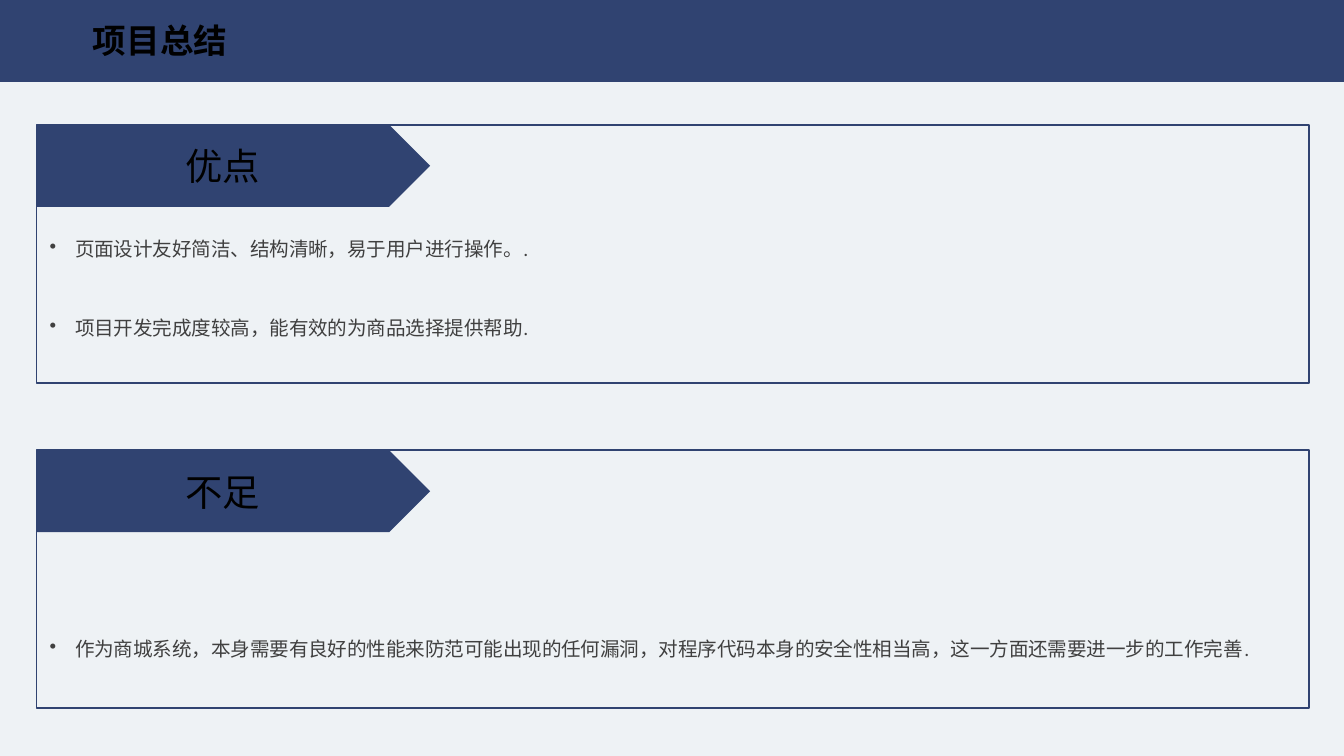
import pptx
import pptx.dml.color
import pptx.enum.shapes
import pptx.enum.text
import pptx.oxml.ns
import pptx.util
from lxml import etree

Cm = pptx.util.Cm
Pt = pptx.util.Pt
RGBColor = pptx.dml.color.RGBColor
Kind = pptx.enum.shapes.MSO_SHAPE
Text = pptx.enum.text
qn = pptx.oxml.ns.qn

NAVY = RGBColor(0x30, 0x43, 0x71)
PALE = RGBColor(0xEE, 0xF2, 0xF5)
BLACK = RGBColor(0, 0, 0)
GREY = RGBColor(0x40, 0x40, 0x40)
HAN = "Noto Sans CJK SC"

deck = pptx.Presentation()
deck.slide_width, deck.slide_height = Cm(25.4), Cm(14.29)
slide = deck.slides.add_slide(deck.slide_layouts[6])
slide.background.fill.solid()
slide.background.fill.fore_color.rgb = PALE


def add_box(kind, left, top, width, height, filled=True):
    box = slide.shapes.add_shape(kind, Cm(left), Cm(top), Cm(width), Cm(height))
    box.shadow.inherit = False
    if filled:
        box.fill.solid()
        box.fill.fore_color.rgb = NAVY
        box.line.fill.background()
    else:
        box.fill.background()
        box.line.color.rgb = NAVY
        box.line.width = Pt(1)
    return box


def set_text(frame, words, size, color=BLACK, name=HAN, bold=False):
    para = frame.paragraphs[0]
    para.text = words
    font = para.font
    font.size, font.bold, font.name = Pt(size), bold, name
    font.color.rgb = color
    # East Asian typeface
    props = para._p.pPr.find(qn("a:defRPr"))
    etree.SubElement(props, qn("a:ea"), typeface=HAN)
    return para


# Header band and title
add_box(Kind.RECTANGLE, 0, 0, 25.4, 1.55)
title = slide.shapes.add_textbox(Cm(1.5), Cm(0.25), Cm(3.05), Cm(1.02))
title.text_frame.word_wrap = False
title.text_frame.auto_size = Text.MSO_AUTO_SIZE.SHAPE_TO_FIT_TEXT
para = set_text(title.text_frame, "项目总结", 18, bold=True)
para.alignment = Text.PP_ALIGN.CENTER

# Framed panels with arrow tags
LEFT, TOP, STEP = 0.69, 2.36, 6.15
labels = ["优点", "不足"]
for row in range(len(labels)):
    add_box(Kind.RECTANGLE, LEFT, TOP + row * STEP, 24.05, 4.88, filled=False)
for row, label in enumerate(labels):
    tag = add_box(Kind.PENTAGON, LEFT, TOP + row * STEP, 7.44, 1.55)
    tag.text_frame.vertical_anchor = Text.MSO_ANCHOR.MIDDLE
    para = set_text(tag.text_frame, label, 20)
    para.alignment = Text.PP_ALIGN.CENTER

# Bullet points
points = [
    (4.22, "页面设计友好简洁、结构清晰，易于用户进行操作。."),
    (5.72, "项目开发完成度较高，能有效的为商品选择提供帮助."),
    (11.79, "作为商城系统，本身需要有良好的性能来防范可能出现的任何漏洞，"
            "对程序代码本身的安全性相当高，这一方面还需要进一步的工作完善."),
]
for top, words in points:
    note = slide.shapes.add_textbox(Cm(LEFT), Cm(top), Cm(23.39), Cm(0.84))
    frame = note.text_frame
    frame.word_wrap = True
    frame.auto_size = Text.MSO_AUTO_SIZE.SHAPE_TO_FIT_TEXT
    para = set_text(frame, words, 10.5, GREY, "Calibri")
    para.line_spacing = 1.3
    para.space_before = Pt(6)
    props = para._p.pPr
    props.set("marL", str(Cm(0.48)))
    props.set("indent", str(-Cm(0.48)))
    mark = etree.Element(qn("a:buChar"), char="•")
    props.find(qn("a:defRPr")).addprevious(mark)

deck.save("out.pptx")
